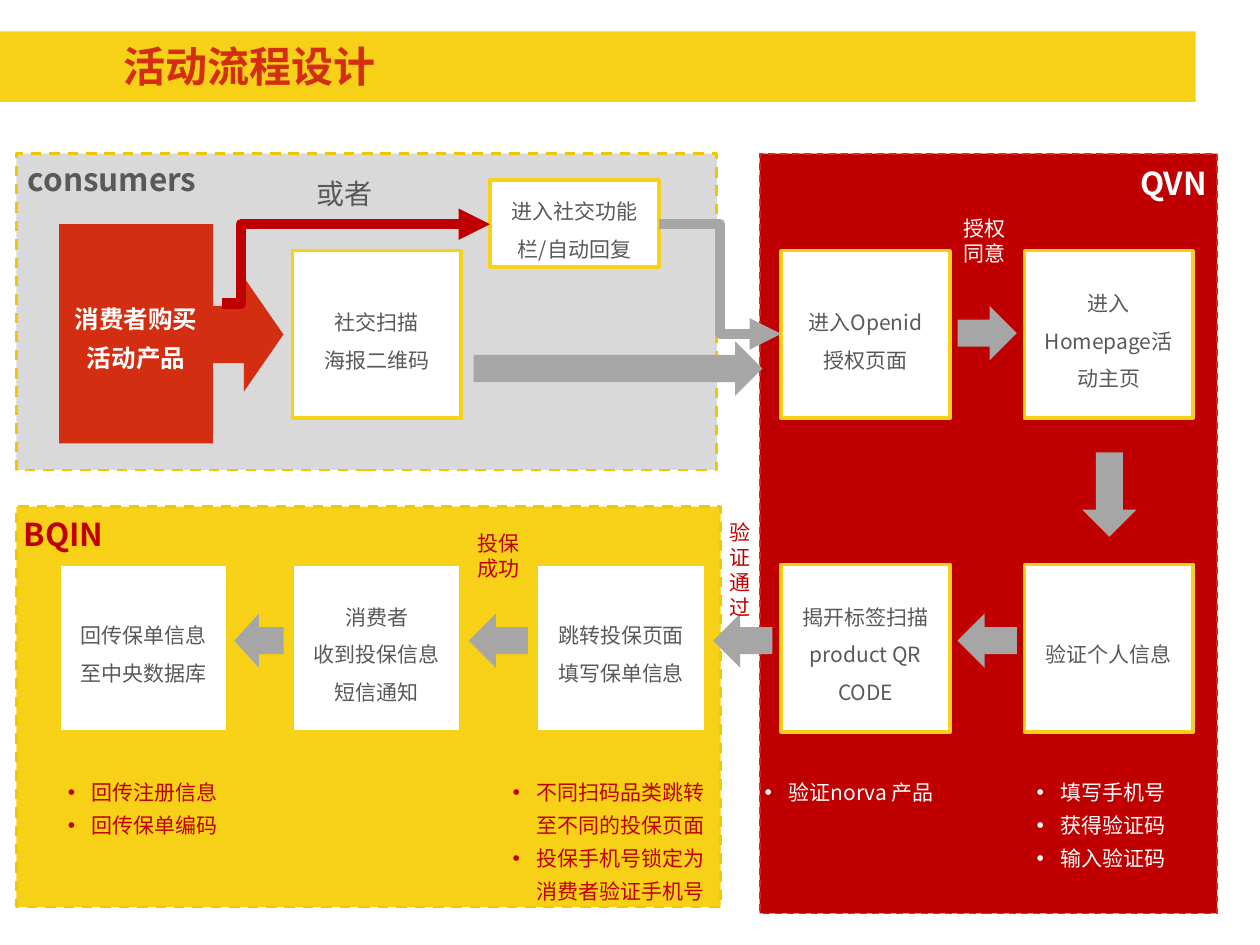
from pptx import Presentation
from pptx.dml.color import RGBColor
from pptx.enum.dml import MSO_LINE
from pptx.enum.shapes import MSO_CONNECTOR as Link, MSO_SHAPE as Form
from pptx.enum.text import MSO_ANCHOR as Anchor, MSO_AUTO_SIZE as Fit, PP_ALIGN as Align
from pptx.oxml.ns import qn
from pptx.util import Pt
from lxml.etree import SubElement

PX = 9144  # 100 px to the inch
WHITE = RGBColor(0xFF, 0xFF, 0xFF)
YELLOW = RGBColor(0xF7, 0xD1, 0x17)
GOLD = RGBColor(0xEE, 0xC8, 0x08)
ORANGE = RGBColor(0xD4, 0x2E, 0x12)
RED = RGBColor(0xC0, 0x00, 0x00)
PALE = RGBColor(0xD9, 0xD9, 0xD9)
GREY = RGBColor(0xA6, 0xA6, 0xA6)
DARK = RGBColor(0x59, 0x59, 0x59)
SANS = "Noto Sans CJK SC"

deck = Presentation()
deck.slide_width, deck.slide_height = 1000 * PX, 750 * PX
slide = deck.slides.add_slide(deck.slide_layouts[5])
shapes = slide.shapes


def draw(form, at, fill, edge=None, width=2, dash=None):
    shape = shapes.add_shape(form, *[v * PX for v in at])
    shape.shadow.inherit = False
    shape.fill.solid()
    shape.fill.fore_color.rgb = fill
    if edge is None:
        shape.line.fill.background()
    else:
        shape.line.color.rgb = edge
        shape.line.width = Pt(width)
        shape.line.dash_style = dash
    return shape


def write(shape, text, color, size=12, bold=False, font=SANS, bullet=False,
          frame={}, **para):
    """Fill a shape with one paragraph per line; frame and para hold format values."""
    body = shape.text_frame
    body.text = text
    for key, value in frame.items():
        setattr(body, key, value)
    for line in body.paragraphs:
        for key, value in para.items():
            setattr(line, key, value)
        if bullet:
            props = line._p.get_or_add_pPr()
            props.set("marL", str(19 * PX))
            props.set("indent", str(-19 * PX))
            SubElement(props, qn("a:buFont")).set("typeface", "Arial")
            SubElement(props, qn("a:buChar")).set("char", "•")
        for run in line.runs:
            look = {"name": font, "size": Pt(size), "bold": bold}
            for key, value in look.items():
                setattr(run.font, key, value)
            run.font.color.rgb = color
            SubElement(run.font._element, qn("a:ea")).set("typeface", font)


FLAT = dict.fromkeys(["margin_left", "margin_top", "margin_right", "margin_bottom"], 0)
WRAP = {"word_wrap": True, "auto_size": Fit.SHAPE_TO_FIT_TEXT}
MID = {"word_wrap": True, "vertical_anchor": Anchor.MIDDLE}

# Title bar
bar = draw(Form.RECTANGLE, (0, 25, 949, 56), YELLOW)
title = shapes.title
bar.element.addnext(title.element)
place = {"left": 98, "top": 29, "width": 842, "height": 46}
for key, value in place.items():
    setattr(title, key, value * PX)
write(title, "活动流程设计", ORANGE, 24, True, "Quicksand",
      frame=FLAT | MID, alignment=Align.LEFT)

# Panels
for at, fill, edge, width in [
    ((603, 122, 363, 603), RED, ORANGE, 1),
    ((13, 122, 556, 251), PALE, GOLD, 1.5),
    ((13, 402, 559, 318), YELLOW, GOLD, 1.5),
]:
    draw(Form.RECTANGLE, at, fill, edge, width, MSO_LINE.DASH)

# Steps
buy = draw(Form.RECTANGLE, (47, 178, 122, 174), ORANGE)
write(buy, "消费者购买\n活动产品", WHITE, 14, True, frame=MID,
      alignment=Align.CENTER, line_spacing=1.3)
draw(Form.RIGHT_ARROW, (162, 220, 63, 91), ORANGE)

TOP, LOW = 199, 448
for left, top, high, text in [
    (232, TOP, 133, "社交扫描\n海报二维码"),
    (620, TOP, 133, "进入Openid\n授权页面"),
    (813, TOP, 133, "进入Homepage活动主页"),
    (813, LOW, 133, "验证个人信息"),
    (620, LOW, 133, "揭开标签扫描product QR CODE"),
    (426, LOW, 133, "跳转投保页面\n填写保单信息"),
    (232, LOW, 133, "消费者\n收到投保信息短信通知"),
    (47, LOW, 133, "回传保单信息至中央数据库"),
    (389, 143, 69, "进入社交功能栏/自动回复"),
]:
    step = draw(Form.RECTANGLE, (left, top, 134, high), WHITE, YELLOW)
    write(step, text, DARK, frame=MID, alignment=Align.CENTER, line_spacing=1.5)

# Arrows between steps
draw(Form.RIGHT_ARROW, (376, 271, 229, 43), GREY)
draw(Form.RIGHT_ARROW, (760, 243, 47, 43), GREY)
draw(Form.RIGHT_ARROW, (847, 371, 67, 43), GREY).rotation = 90
for left, wide in [(760, 47), (566, 47), (372, 47), (186, 39)]:
    draw(Form.LEFT_ARROW, (left, 487, wide, 43), GREY)

# Notes, arrow labels and panel names
note = {"bullet": True, "line_spacing": 1.3, "frame": WRAP}
label = {"frame": WRAP}
name = {"frame": FLAT | {"word_wrap": True}, "line_spacing": 1.13,
        "space_after": Pt(0.6)}
head = {"size": 18, "bold": True}
for at, text, color, style in [
    ((813, 608, 127, 89), "填写手机号\n获得验证码\n输入验证码", WHITE, note),
    ((597, 608, 186, 34), "验证norva 产品", WHITE, note),
    ((397, 608, 186, 115), "不同扫码品类跳转至不同的投保页面\n投保手机号锁定为消费者验证手机号",
     RED, note),
    ((44, 608, 142, 63), "回传注册信息\n回传保单编码", RED, note),
    ((569, 407, 35, 91), "验证\n通过", RED, label),
    ((369, 416, 60, 50), "投保\n成功", RED, label),
    ((755, 166, 60, 50), "授权\n同意", WHITE, label),
    ((783, 110, 297, 50), "QVN", WHITE,
     label | head | {"alignment": Align.CENTER, "line_spacing": 1.5}),
    ((19, 405, 100, 32), "BQIN", RED, name | head),
    ((22, 123, 180, 40), "consumers", DARK, name | head),
    ((251, 137, 100, 33), "或者", DARK, name | {"size": 16}),
]:
    box = shapes.add_textbox(*[v * PX for v in at])
    write(box, text, color, **style)

# Bent links
for ends, color, bend in [
    ((523, 178, 620, 265), GREY, 50000),
    ((176, 241, 389, 178), RED, 7200),
]:
    link = shapes.add_connector(Link.ELBOW, *[v * PX for v in ends])
    link.line.color.rgb = color
    link.line.width = Pt(6)
    SubElement(link.line._get_or_add_ln(), qn("a:tailEnd")).set("type", "triangle")
    props = link.element.spPr
    SubElement(props, qn("a:effectLst"))
    guide = SubElement(props.prstGeom.get_or_add_avLst(), qn("a:gd"))
    guide.set("name", "adj1")
    guide.set("fmla", f"val {bend}")

deck.save("out.pptx")
